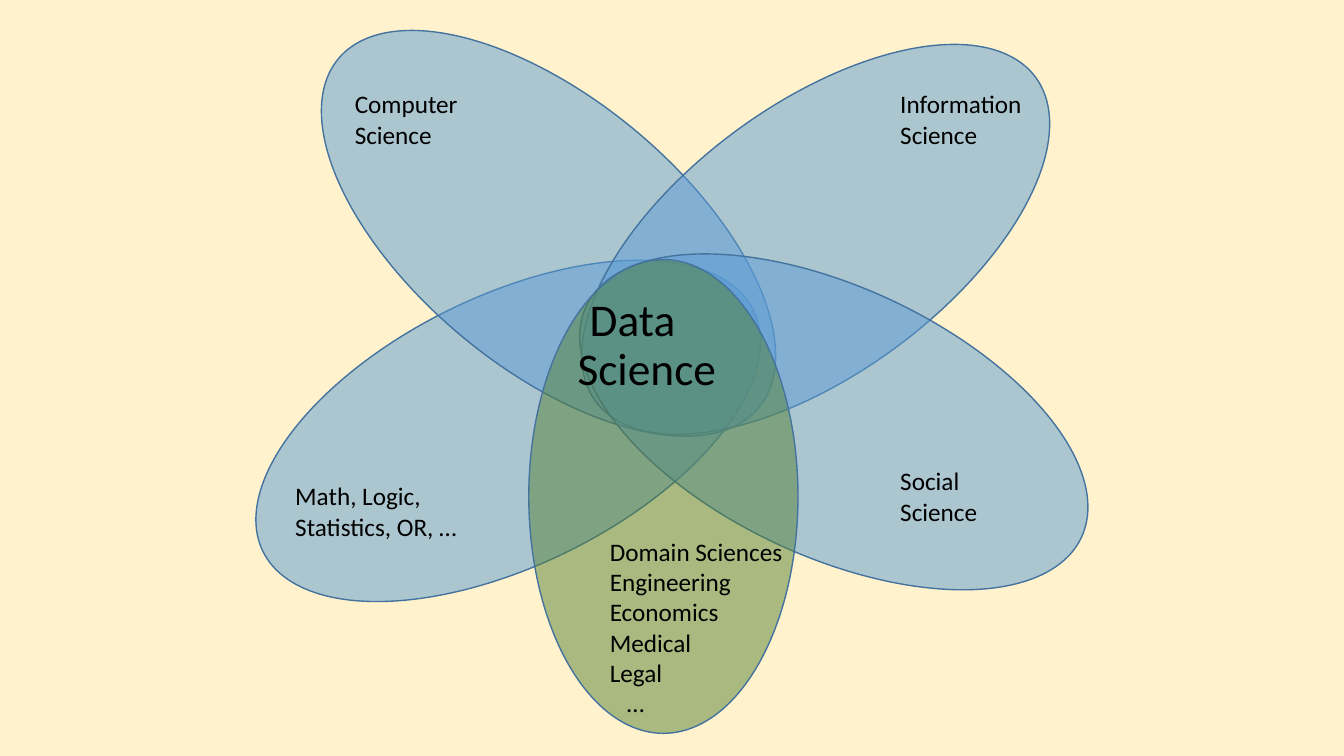
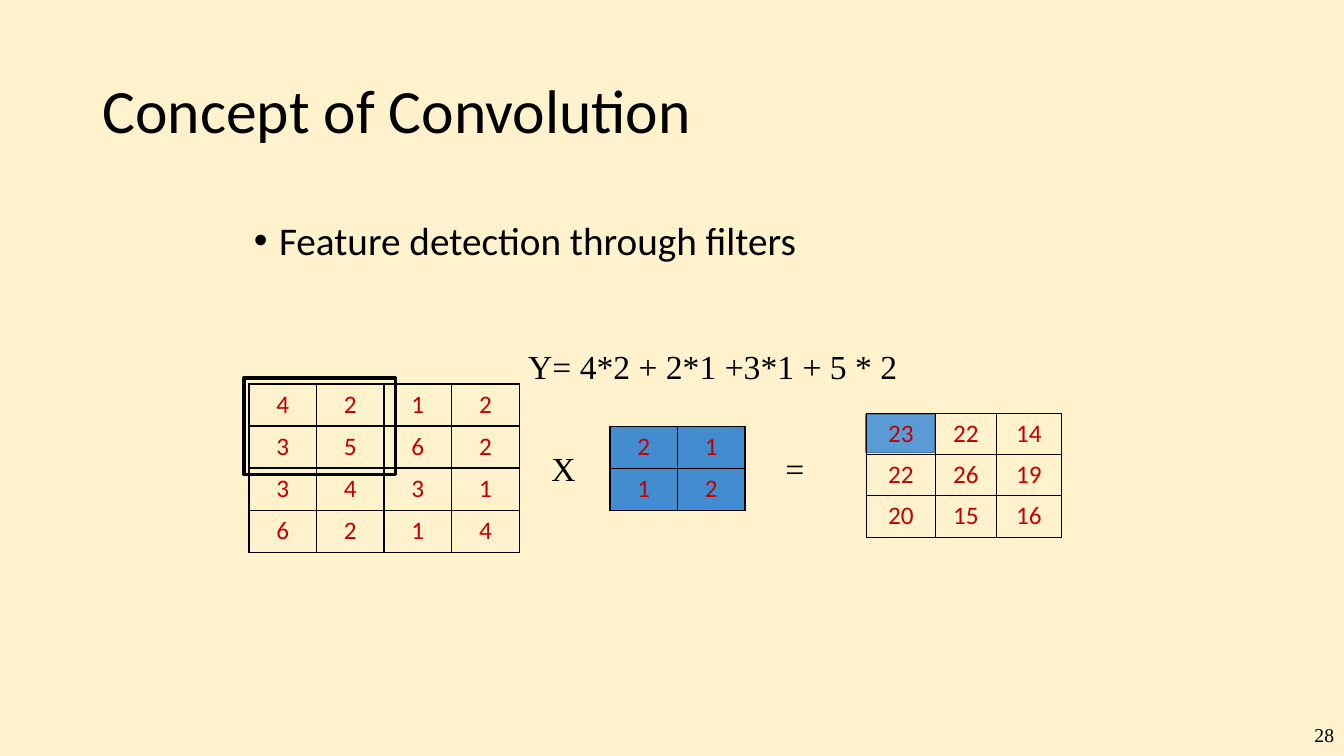
"""Build two slides: the fields around data science, and the concept of convolution."""
import pptx
import pptx.dml.color
import pptx.enum.shapes
import pptx.enum.text
import pptx.oxml
import pptx.oxml.ns
import pptx.util

Inches, Pt = pptx.util.Inches, pptx.util.Pt
RGBColor = pptx.dml.color.RGBColor
MSO_SHAPE = pptx.enum.shapes.MSO_SHAPE
PP_ALIGN = pptx.enum.text.PP_ALIGN
MSO_ANCHOR = pptx.enum.text.MSO_ANCHOR

CREAM = RGBColor(0xFF, 0xF2, 0xCC)
BLACK = RGBColor(0, 0, 0)
BLUE = RGBColor(0x5B, 0x9B, 0xD5)
FILTER_BLUE = RGBColor(0x43, 0x8C, 0xCF)
OUTLINE_BLUE = RGBColor(0x43, 0x73, 0x9E)
GREEN = RGBColor(0x54, 0x82, 0x35)
RED = RGBColor(0xC0, 0, 0)
SANS, SERIF = "Calibri", "Times New Roman"

PETAL_HEIGHT = 2.67
PETALS = [
    (2.33, 2.94, 5.42, 333.8, BLUE),
    (2.73, 0.98, 5.42, 39.7, BLUE),
    (5.38, 1.04, 5.42, 323.6, BLUE),
    (5.56, 2.85, 5.42, 205, BLUE),
    (4.23, 3.59, 4.7, 270, GREEN),
]
FIELDS = [
    (3.42, 0.83, 1.29, 0.71, ["Computer", "Science"]),
    (8.83, 0.83, 1.48, 0.71, ["Information", "Science"]),
    (8.83, 4.57, 0.98, 0.71, ["Social", "Science"]),
    (2.83, 4.72, 1.84, 0.71, ["Math, Logic,", "Statistics, OR, …"]),
    (5.95, 5.27, 1.93, 2.22,
     ["Domain Sciences", "Engineering", "Economics", "Medical", "Legal", "…"]),
]

INPUT = [[4, 2, 1, 2], [3, 5, 6, 2], [3, 4, 3, 1], [6, 2, 1, 4]]
FILTER = [[2, 1], [1, 2]]
OUTPUT = [[23, 22, 14], [22, 26, 19], [20, 15, 16]]
MATRICES = [
    (2.47, 3.81, [0.67] * 4, 0.417, INPUT, None),
    (6.05, 4.23, [0.67] * 2, 0.417, FILTER, FILTER_BLUE),
    (8.59, 4.1, [0.69, 0.6, 0.65], 0.41, OUTPUT, None),
]
FORMULA = [
    (5.37, 4.39, 0.45, 0.5, "X", False),
    (7.69, 4.39, 0.45, 0.5, "=", True),
    (5.14, 3.38, 3.9, 0.5, "Y= 4*2 + 2*1 +3*1 + 5 * 2", False),
]


def style_font(font, size, name=SANS, color=BLACK):
    font.size, font.name = Pt(size), name
    font.color.rgb = color


def add_slide(deck):
    slide = deck.slides.add_slide(deck.slide_layouts[6])
    slide.background.fill.solid()
    slide.background.fill.fore_color.rgb = CREAM
    return slide


def add_text(slide, box, lines, size, name=SANS, wrap=True, middle=False, spacing=None):
    frame = slide.shapes.add_textbox(*map(Inches, box)).text_frame
    frame.word_wrap = wrap
    if middle:
        frame.vertical_anchor = MSO_ANCHOR.MIDDLE
    frame.text = "\n".join(lines)
    for paragraph in frame.paragraphs:
        paragraph.line_spacing = spacing
        for run in paragraph.runs:
            style_font(run.font, size, name)
    return frame.paragraphs


def add_title(slide, box, text, size):
    return add_text(slide, box, [text], size, middle=True, spacing=0.9)[0]


def indent(paragraph, left, first):
    properties = paragraph._p.get_or_add_pPr()
    properties.set("marL", str(Inches(left)))
    properties.set("indent", str(Inches(first)))
    return properties


def add_outlined(slide, kind, box, fill, line, width):
    shape = slide.shapes.add_shape(kind, *map(Inches, box))
    shape.shadow.inherit = False
    if fill is None:
        shape.fill.background()
    else:
        shape.fill.solid()
        shape.fill.fore_color.rgb = fill
    shape.line.color.rgb = line
    shape.line.width = Pt(width)
    return shape


def add_petal(slide, left, top, width, rotation, color):
    petal = add_outlined(slide, MSO_SHAPE.OVAL, (left, top, width, PETAL_HEIGHT),
                         color, OUTLINE_BLUE, 1)
    petal.rotation = rotation
    tint = petal._element.spPr.find(pptx.oxml.ns.qn("a:solidFill"))[0]
    tint.append(pptx.oxml.parse_xml(
        f'<a:alpha {pptx.oxml.ns.nsdecls("a")} val="50000"/>'))


def add_borders(cell):
    properties = cell._tc.get_or_add_tcPr()
    for side in "LRTB":
        properties.append(pptx.oxml.parse_xml(
            f'<a:ln{side} {pptx.oxml.ns.nsdecls("a")} w="{Pt(1)}">'
            f'<a:solidFill><a:srgbClr val="{BLACK}"/></a:solidFill></a:ln{side}>'))


def add_matrix(slide, left, top, widths, row_height, values, fill):
    size = (left, top, sum(widths), row_height * len(values))
    matrix = slide.shapes.add_table(len(values), len(widths), *map(Inches, size)).table
    matrix.first_row = matrix.horz_banding = False
    for column, width in zip(matrix.columns, widths):
        column.width = Inches(width)
    for row, numbers in zip(matrix.rows, values):
        row.height = Inches(row_height)
        for cell, number in zip(row.cells, numbers):
            add_borders(cell)
            if fill is None:
                cell.fill.background()
            else:
                cell.fill.solid()
                cell.fill.fore_color.rgb = fill
            paragraph = cell.text_frame.paragraphs[0]
            paragraph.text = str(number)
            paragraph.alignment = PP_ALIGN.CENTER
            style_font(paragraph.runs[0].font, 18, color=RED)


def build_fields(deck):
    slide = add_slide(deck)
    for petal in PETALS:
        add_petal(slide, *petal)
    for *box, lines in FIELDS:
        paragraphs = add_text(slide, box, lines, 18, wrap=False)
    indent(paragraphs[-1], 0.17, 0)
    title = add_title(slide, (5.63, 2.81, 2.03, 1.25), "Data\vScience", 32.4)
    indent(title, 0, 0.12)


def build_convolution(deck):
    slide = add_slide(deck)
    add_outlined(slide, MSO_SHAPE.RECTANGLE, (8.59, 4.11, 0.68, 0.38), BLUE, OUTLINE_BLUE, 1)
    add_title(slide, (0.92, 0.4, 11.5, 1.45), "Concept of Convolution", 44)
    bullet = add_text(slide, (2.42, 2.15, 8.5, 4.5), ["Feature detection through filters"],
                      28, spacing=0.9)[0]
    properties = indent(bullet, 0.25, -0.25)
    for tag in ('buFont typeface="Arial"', 'buChar char="•"'):
        properties.append(pptx.oxml.parse_xml(f'<a:{tag} {pptx.oxml.ns.nsdecls("a")}/>'))
    number = add_text(slide, (12.39, 7.08, 0.94, 0.42), ["28"], 14, SERIF, middle=True)[0]
    number.alignment = PP_ALIGN.RIGHT
    for matrix in MATRICES:
        add_matrix(slide, *matrix)
    add_outlined(slide, MSO_SHAPE.RECTANGLE, (2.42, 3.75, 1.5, 0.96), None, BLACK, 2.25)
    for *box, text, wrap in FORMULA:
        add_text(slide, box, [text], 24, SERIF, wrap=wrap)


def main():
    deck = pptx.Presentation()
    deck.slide_width, deck.slide_height = Inches(13.33), Inches(7.5)
    build_fields(deck)
    build_convolution(deck)
    deck.save("out.pptx")


if __name__ == "__main__":
    main()
